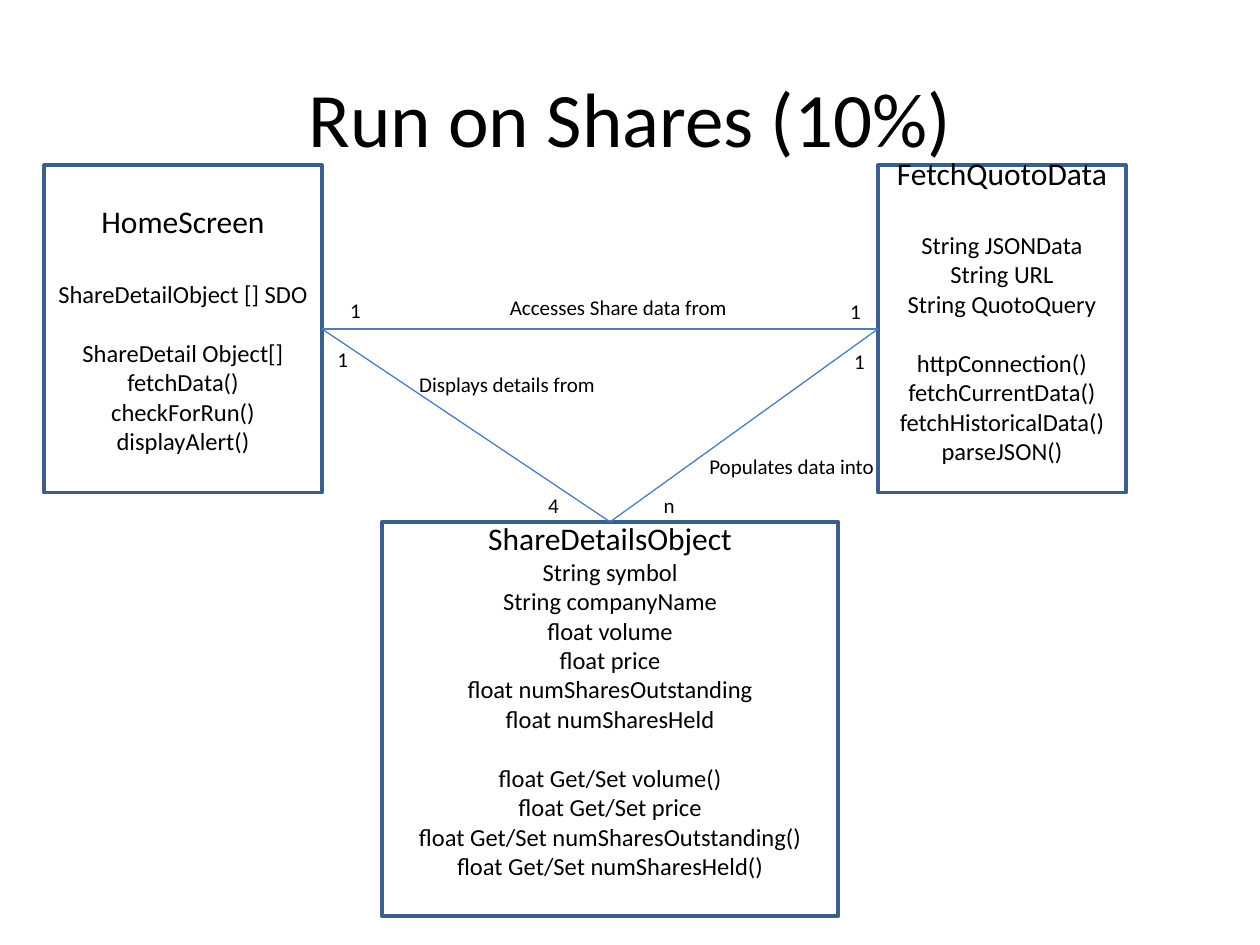
from pptx import Presentation
from pptx.dml.color import RGBColor
from pptx.enum.shapes import MSO_CONNECTOR as Connector, MSO_SHAPE as Shape
from pptx.enum.text import MSO_ANCHOR as Anchor, MSO_AUTO_SIZE as AutoSize, PP_ALIGN as Align
from pptx.util import Cm, Pt
from lxml import etree

COLORS = {"text": "000000", "border": "3A5F8C", "link": "4B7EBC"}
FONT = "Calibri"
HEAD_SIZE, MEMBER_SIZE, LABEL_SIZE = 18, 14, 12
LINE_HEIGHT = 1.22  # line height of the font, as a multiple of its size
TOP, LEFT, RIGHT = 0, 1, 3  # connection sites of a rectangle
DRAWING = "http://schemas.openxmlformats.org/drawingml/2006/main"


def color(name):
    return RGBColor.from_string(COLORS[name])


def style(para, size):
    para.font.name = FONT
    para.font.size = Pt(size)
    para.font.color.rgb = color("text")


def add_title(page, text, left, top, width, height):
    title = page.shapes.title
    title.left, title.top, title.width, title.height = map(Cm, (left, top, width, height))
    title.text_frame.text = text
    style(title.text_frame.paragraphs[0], 44)


def add_class_box(page, name, groups, left, top, width, height, head_gap=True, foot_gap=True):
    """Class name, then groups of members set apart by one line."""
    box = page.shapes.add_shape(Shape.RECTANGLE, *map(Cm, (left, top, width, height)))
    box.shadow.inherit = False
    box.fill.background()
    box.line.color.rgb = color("border")
    box.line.width = Pt(2)
    frame = box.text_frame
    frame.word_wrap = True
    frame.vertical_anchor = Anchor.MIDDLE
    if foot_gap:
        frame.margin_bottom += Pt(HEAD_SIZE * LINE_HEIGHT)
    frame.text = "\n".join([name] + [member for group in groups for member in group])
    for para in frame.paragraphs:
        para.alignment = Align.CENTER
        style(para, MEMBER_SIZE)
    style(frame.paragraphs[0], HEAD_SIZE)

    # Space above the first member of each group
    row = 1
    for number, group in enumerate(groups):
        size = MEMBER_SIZE if number else HEAD_SIZE
        if number or head_gap:
            frame.paragraphs[row].space_before = Pt(round(size * LINE_HEIGHT))
        row += len(group)
    return box


def add_link(page, start, start_site, end, end_site):
    link = page.shapes.add_connector(Connector.STRAIGHT, 0, 0, 0, 0)
    link.begin_connect(start, start_site)
    link.end_connect(end, end_site)
    link.line.color.rgb = color("link")
    link.line.width = Pt(0.75)
    etree.SubElement(link._element.spPr, f"{{{DRAWING}}}effectLst")


def add_label(page, text, left, top, width=0.74):
    label = page.shapes.add_textbox(*map(Cm, (left, top, width, 0.77)))
    frame = label.text_frame
    frame.word_wrap = False
    frame.auto_size = AutoSize.SHAPE_TO_FIT_TEXT
    frame.text = text
    style(frame.paragraphs[0], LABEL_SIZE)


def add_class_diagram(page, left, top):
    # Classes
    home = add_class_box(
        page, "HomeScreen",
        [["ShareDetailObject [] SDO"],
         ["ShareDetail Object[] fetchData()", "checkForRun()", "displayAlert()"]],
        left, top, 5.6, 6.6, foot_gap=False)
    fetcher = add_class_box(
        page, "FetchQuotoData",
        [["String JSONData", "String URL", "String QuotoQuery"],
         ["httpConnection()", "fetchCurrentData()", "fetchHistoricalData()", "parseJSON()"]],
        left + 16.81, top, 5, 6.6)
    details = add_class_box(
        page, "ShareDetailsObject",
        [["String symbol", "String companyName", "float volume", "float price",
          "float numSharesOutstanding", "float numSharesHeld"],
         ["float Get/Set volume()", "float Get/Set price",
          "float Get/Set numSharesOutstanding()", "float Get/Set numSharesHeld()"]],
        left + 6.81, top + 7.19, 9.2, 7.95, head_gap=False)

    # Relations
    add_link(page, home, RIGHT, fetcher, LEFT)
    add_link(page, home, RIGHT, details, TOP)
    add_link(page, fetcher, LEFT, details, TOP)

    # Relation names and multiplicities
    for text, x, y, *width in [
        ("Displays details from", 7.31, 4.04, 4.09),
        ("1", 5.66, 3.53),
        ("4", 9.91, 6.47),
        ("Accesses Share data from", 9.14, 2.49, 4.93),
        ("1", 5.92, 2.54),
        ("1", 16, 2.56),
        ("1", 16.08, 3.58),
        ("n", 12.24, 6.47),
        ("Populates data into", 13.16, 5.69, 3.86),
    ]:
        add_label(page, text, left + x, top + y, *width)


deck = Presentation()
deck.slide_width, deck.slide_height = Cm(25.4), Cm(19.05)
page = deck.slides.add_slide(deck.slide_layouts.get_by_name("Title Only"))
add_title(page, "Run on Shares (10%)", 1.27, 0.76, 22.86, 3.18)
add_class_diagram(page, 0.89, 3.33)
deck.save("out.pptx")
